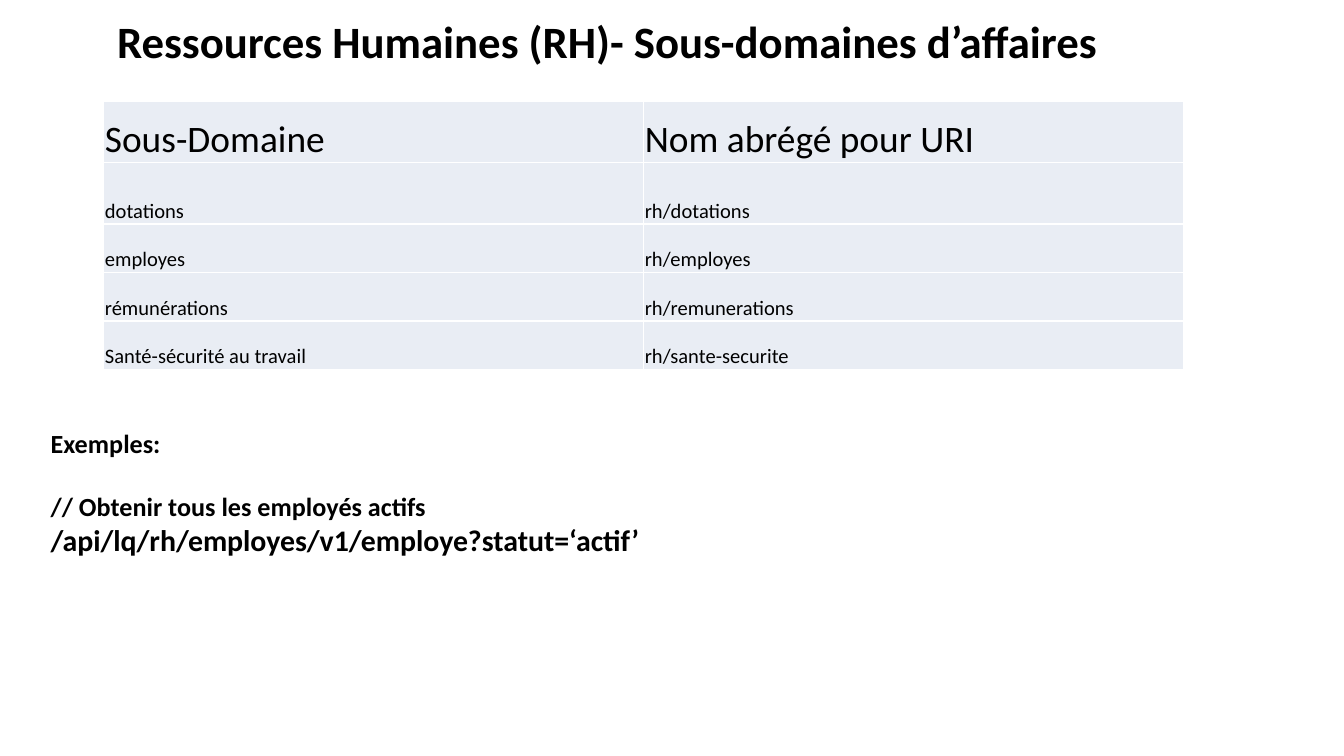
"""Build the slide on the business sub-domains of human resources."""
from pptx import Presentation
from pptx.dml.color import RGBColor
from pptx.enum import text
from pptx.util import Pt

TITLE = "Ressources Humaines (RH)- Sous-domaines d’affaires"
ROWS = [
    ("Sous-Domaine", "Nom abrégé pour URI"),
    ("dotations", "rh/dotations"),
    ("employes", "rh/employes"),
    ("rémunérations", "rh/remunerations"),
    ("Santé-sécurité au travail", "rh/sante-securite"),
]
EXAMPLES = [
    ("Exemples:", "label", 0),
    ("// Obtenir tous les employés actifs", "label", 17),
    ("/api/lq/rh/employes/v1/employe?statut=‘actif’", "path", 0),
]
THEME = {
    "font": "Calibri",
    "ink": RGBColor(0, 0, 0),
    "cell": RGBColor(0xE9, 0xED, 0xF4),
    "sizes": {"title": 24, "header": 20, "body": 11, "label": 14, "path": 16},
}
LEFT, TABLE_TOP, TABLE_WIDTH = 55.5, 54, 578.5
ROW_HEIGHTS = [33, 33, 26, 26, 26]


def style(p, role, bold=False):
    p.alignment = text.PP_ALIGN.LEFT
    p.line_spacing = 1
    p.font.name = THEME["font"]
    p.font.size = Pt(THEME["sizes"][role])
    p.font.bold = bold
    p.font.color.rgb = THEME["ink"]


def place(sp, left, top, width, height):
    sp.left, sp.top, sp.width, sp.height = map(Pt, (left, top, width, height))


def add_title(s):
    sp = s.shapes.title
    place(sp, LEFT, 3.6, 545.8, 54)
    tf = sp.text_frame
    tf.text = TITLE
    tf.word_wrap = True
    tf.auto_size = text.MSO_AUTO_SIZE.NONE
    tf.vertical_anchor = text.MSO_ANCHOR.TOP
    style(tf.paragraphs[0], "title", bold=True)
    tf.paragraphs[0].space_before = Pt(0)


def add_domains(s):
    frame = s.shapes.add_table(len(ROWS), len(ROWS[0]), Pt(LEFT), Pt(TABLE_TOP),
                               Pt(TABLE_WIDTH), Pt(sum(ROW_HEIGHTS)))
    table = frame.table
    table.first_row = table.horz_banding = False
    for i, values in enumerate(ROWS):
        table.rows[i].height = Pt(ROW_HEIGHTS[i])
        for j, value in enumerate(values):
            cell = table.cell(i, j)
            cell.text = value
            cell.fill.solid()
            cell.fill.fore_color.rgb = THEME["cell"]
            cell.vertical_anchor = text.MSO_ANCHOR.BOTTOM
            cell.margin_left = cell.margin_right = cell.margin_top = Pt(0.7)
            cell.margin_bottom = Pt(0)
            style(cell.text_frame.paragraphs[0], "body" if i else "header")


def add_examples(s):
    sp = s.shapes.add_textbox(Pt(20), Pt(225.5), Pt(711), Pt(114))
    tf = sp.text_frame
    tf.word_wrap = True
    for i, (line, role, gap) in enumerate(EXAMPLES):
        p = tf.add_paragraph() if i else tf.paragraphs[0]
        p.text = line
        style(p, role, bold=True)
        p.space_before = Pt(gap)


def main():
    prs = Presentation()
    prs.slide_width, prs.slide_height = Pt(720), Pt(405)
    s = prs.slides.add_slide(prs.slide_layouts[5])
    add_title(s)
    add_domains(s)
    add_examples(s)
    prs.save("out.pptx")


if __name__ == "__main__":
    main()
